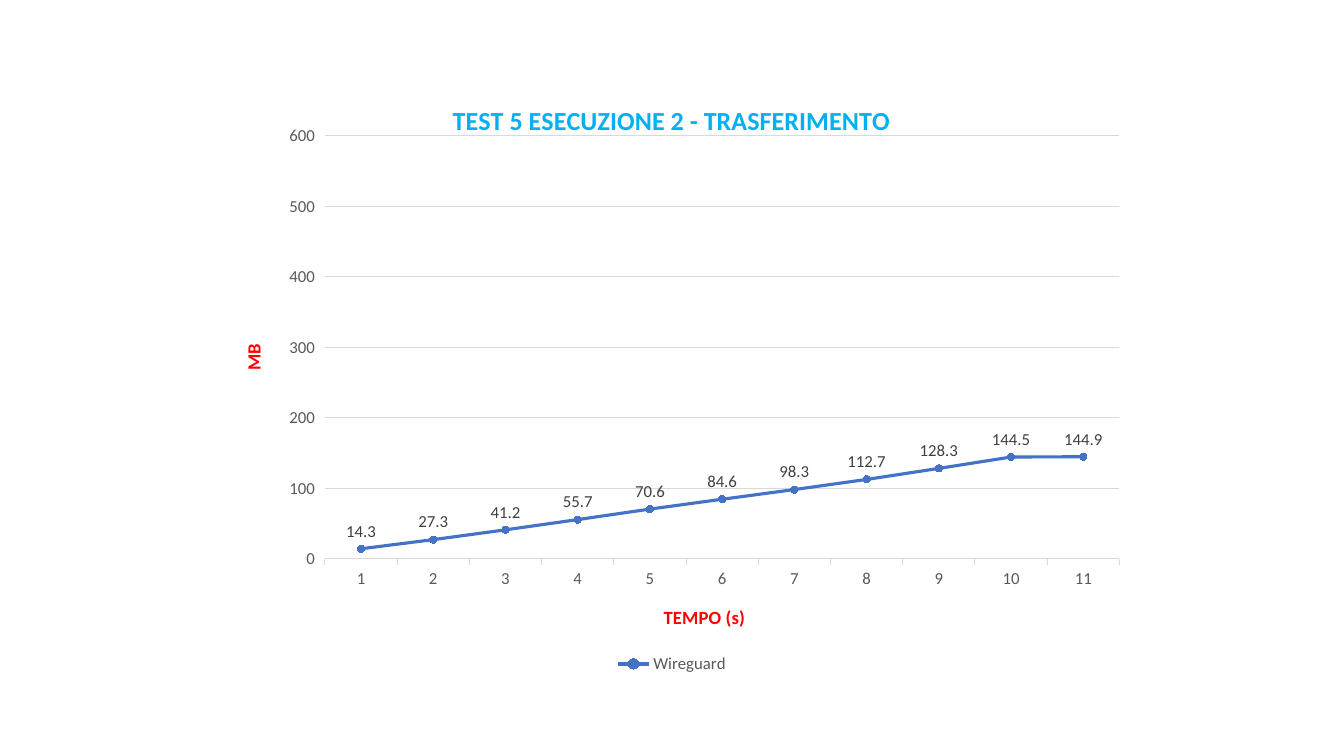
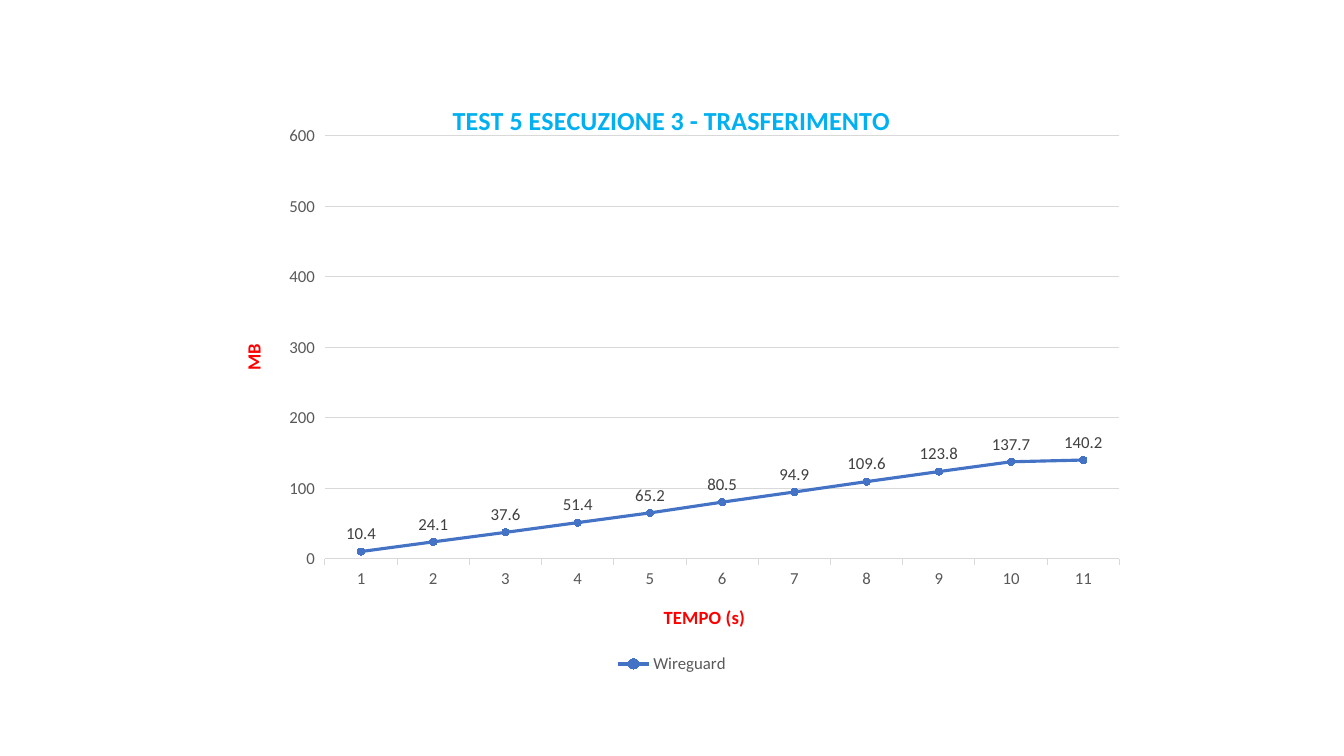
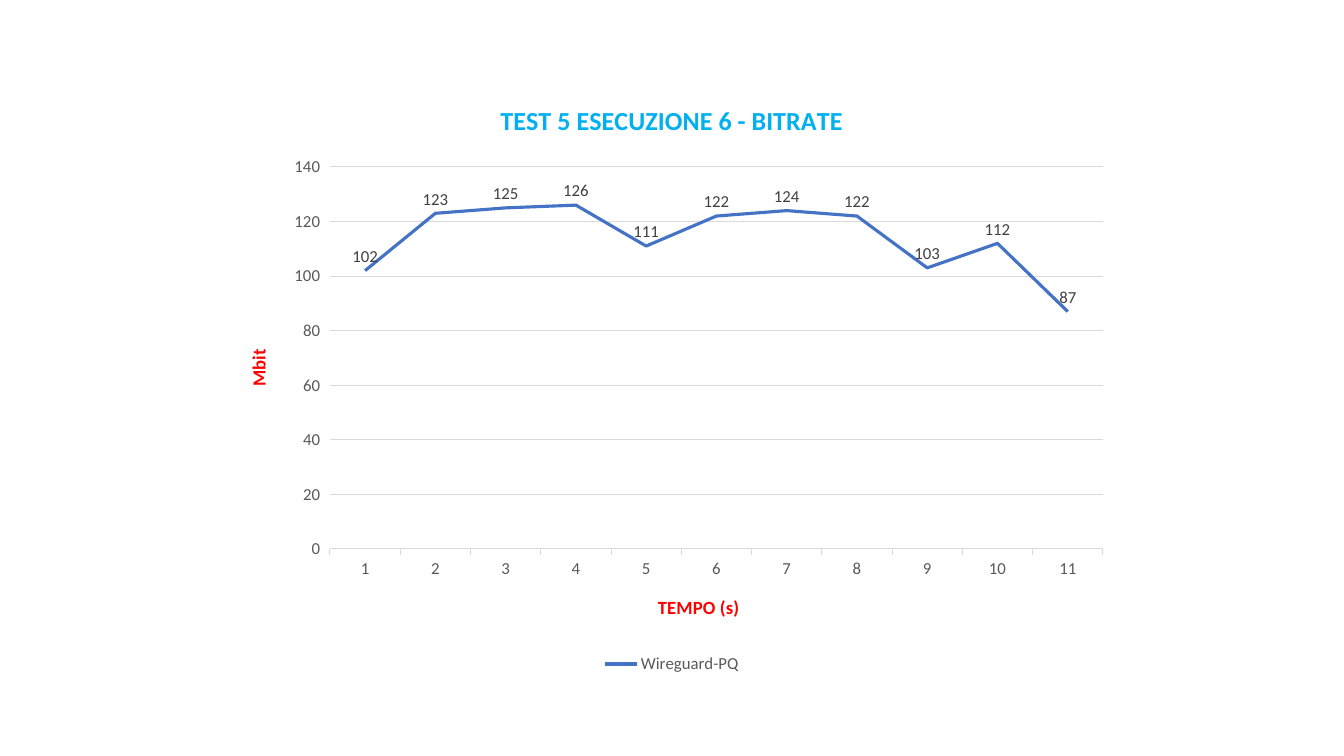
from lxml import etree
from pptx import Presentation
from pptx.chart.data import CategoryChartData
from pptx.dml.color import RGBColor
from pptx.enum.chart import (XL_CHART_TYPE, XL_LABEL_POSITION,
                             XL_LEGEND_POSITION, XL_MARKER_STYLE, XL_TICK_MARK)
from pptx.oxml.ns import qn
from pptx.util import Pt

# Enum members
LINE = XL_CHART_TYPE.LINE
LINE_MARKERS = XL_CHART_TYPE.LINE_MARKERS
ABOVE = XL_LABEL_POSITION.ABOVE
BOTTOM = XL_LEGEND_POSITION.BOTTOM
CIRCLE = XL_MARKER_STYLE.CIRCLE
OUTSIDE = XL_TICK_MARK.OUTSIDE
NO_TICK = XL_TICK_MARK.NONE

# Shared style
FONT = "Calibri"
BLACK = RGBColor(0x00, 0x00, 0x00)
SKY = RGBColor(0x00, 0xB0, 0xF0)
RED = RGBColor(0xFF, 0x00, 0x00)
BLUE = RGBColor(0x44, 0x72, 0xC4)
GREY = RGBColor(0x59, 0x59, 0x59)
DARK = RGBColor(0x40, 0x40, 0x40)
GRID = RGBColor(0xD9, 0xD9, 0xD9)
TITLE_SIZE, AXIS_TITLE_SIZE, TEXT_SIZE = 18.6, 13.3, 12

# Geometry in px; plot areas are relative to the chart frame
SLIDE_W, SLIDE_H = 1344, 756
CHART_W, CHART_H = 896, 598
CHART_X, CHART_Y = (SLIDE_W - CHART_W) // 2, 80
TRANSFER_PLOT = (101, 56, 795, 423)
BITRATE_PLOT = (106, 87, 773, 382)

SECONDS = [str(n) for n in range(1, 12)]
TRANSFER_2 = (14.3, 27.3, 41.2, 55.7, 70.6, 84.6, 98.3, 112.7, 128.3, 144.5, 144.9)
TRANSFER_3 = (10.4, 24.1, 37.6, 51.4, 65.2, 80.5, 94.9, 109.6, 123.8, 137.7, 140.2)
BITRATE_6 = (102, 123, 125, 126, 111, 122, 124, 122, 103, 112, 87)


def px(n):
    return round(n * 914400 / 100.8)


def style_font(font, size, color, bold=False):
    font.name = FONT
    font.size = Pt(size)
    font.color.rgb = color
    font.bold = bold


def style_line(line, color, width):
    line.color.rgb = color
    line.width = Pt(width)


def set_title(title, text, size, color):
    tf = title.text_frame
    tf.text = text
    style_font(tf.paragraphs[0].runs[0].font, size, color, bold=True)
    return tf


def set_plot_area(chart, box):
    """Fix the inner plot area to a px box within the chart frame."""
    plot_area = chart.element.chart.plotArea
    for old in plot_area.findall(qn("c:layout")):
        plot_area.remove(old)
    layout = etree.Element(qn("c:layout"))
    manual = etree.SubElement(layout, qn("c:manualLayout"))
    x, y, w, h = box
    settings = (("layoutTarget", "inner"), ("xMode", "edge"), ("yMode", "edge"),
                ("x", x / CHART_W), ("y", y / CHART_H),
                ("w", w / CHART_W), ("h", h / CHART_H))
    for tag, value in settings:
        etree.SubElement(manual, qn("c:" + tag)).set("val", str(value))
    plot_area.insert(0, layout)


def style_axes(chart, unit, maximum, step):
    time_axis, value_axis = chart.category_axis, chart.value_axis
    for axis, text in ((time_axis, "TEMPO (s)"), (value_axis, unit)):
        tf = set_title(axis.axis_title, text, AXIS_TITLE_SIZE, RED)
        style_font(axis.tick_labels.font, TEXT_SIZE, GREY)
        axis.major_tick_mark = OUTSIDE
        axis.minor_tick_mark = NO_TICK
    # The last title is the value axis one: turn it upwards
    tf._txBody.bodyPr.set("rot", "-5400000")
    tf._txBody.bodyPr.set("vert", "horz")

    time_axis.has_major_gridlines = False
    style_line(time_axis.format.line, GRID, 0.75)
    value_axis.minimum_scale = 0
    value_axis.maximum_scale = maximum
    value_axis.major_unit = step
    value_axis.format.line.fill.background()
    style_line(value_axis.major_gridlines.format.line, GRID, 0.75)


def style_series(chart, markers):
    plot = chart.plots[0]
    plot.vary_by_categories = False
    plot.has_data_labels = True
    labels = plot.data_labels
    labels.show_value = True
    labels.position = ABOVE
    style_font(labels.font, TEXT_SIZE, DARK)

    series = plot.series[0]
    series.smooth = False
    style_line(series.format.line, BLUE, 2.25)
    if markers:
        marker = series.marker
        marker.style = CIRCLE
        marker.size = 5
        marker.format.fill.solid()
        marker.format.fill.fore_color.rgb = BLUE
        style_line(marker.format.line, BLUE, 0.75)


def add_chart_slide(prs, title, name, values, unit, maximum, step, box, markers):
    s = prs.slides.add_slide(prs.slide_layouts[6])
    data = CategoryChartData()
    data.categories = SECONDS
    data.add_series(name, values)
    chart = s.shapes.add_chart(LINE_MARKERS if markers else LINE,
                               px(CHART_X), px(CHART_Y),
                               px(CHART_W), px(CHART_H), data).chart
    style_font(chart.font, 10, BLACK)
    chart.has_title = True
    set_title(chart.chart_title, title, TITLE_SIZE, SKY)
    set_plot_area(chart, box)
    style_axes(chart, unit, maximum, step)
    style_series(chart, markers)

    chart.has_legend = True
    chart.legend.position = BOTTOM
    chart.legend.include_in_layout = False
    style_font(chart.legend.font, TEXT_SIZE, GREY)


def main():
    prs = Presentation()
    prs.slide_width, prs.slide_height = px(SLIDE_W), px(SLIDE_H)

    # Transfer runs
    for run, values in ((2, TRANSFER_2), (3, TRANSFER_3)):
        add_chart_slide(prs, f"TEST 5 ESECUZIONE {run} - TRASFERIMENTO",
                        "Wireguard", values, "MB", 600, 100,
                        TRANSFER_PLOT, markers=True)

    # Bitrate run
    add_chart_slide(prs, "TEST 5 ESECUZIONE 6 - BITRATE", "Wireguard-PQ",
                    BITRATE_6, "Mbit", 140, 20, BITRATE_PLOT, markers=False)

    prs.save("out.pptx")


if __name__ == "__main__":
    main()
